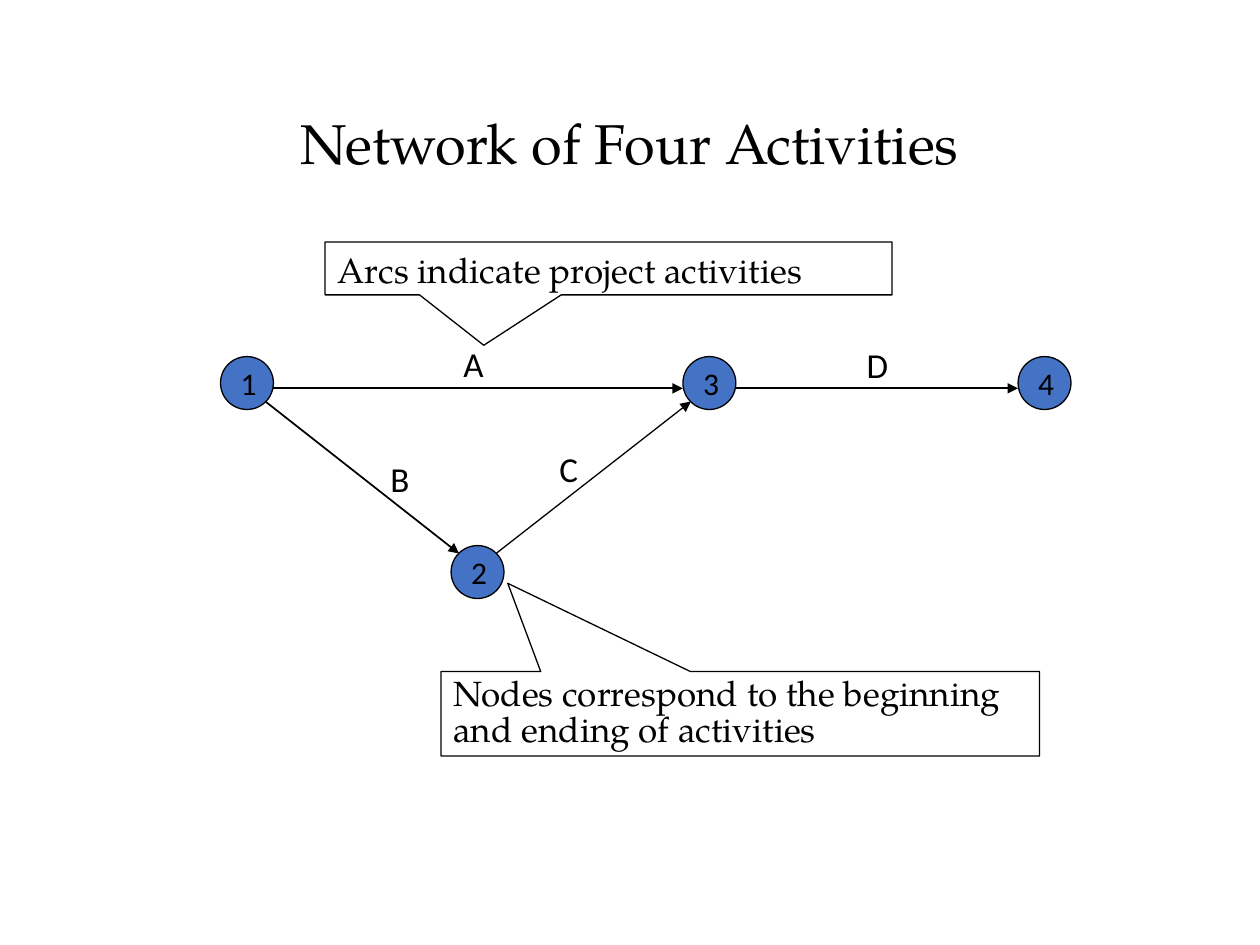
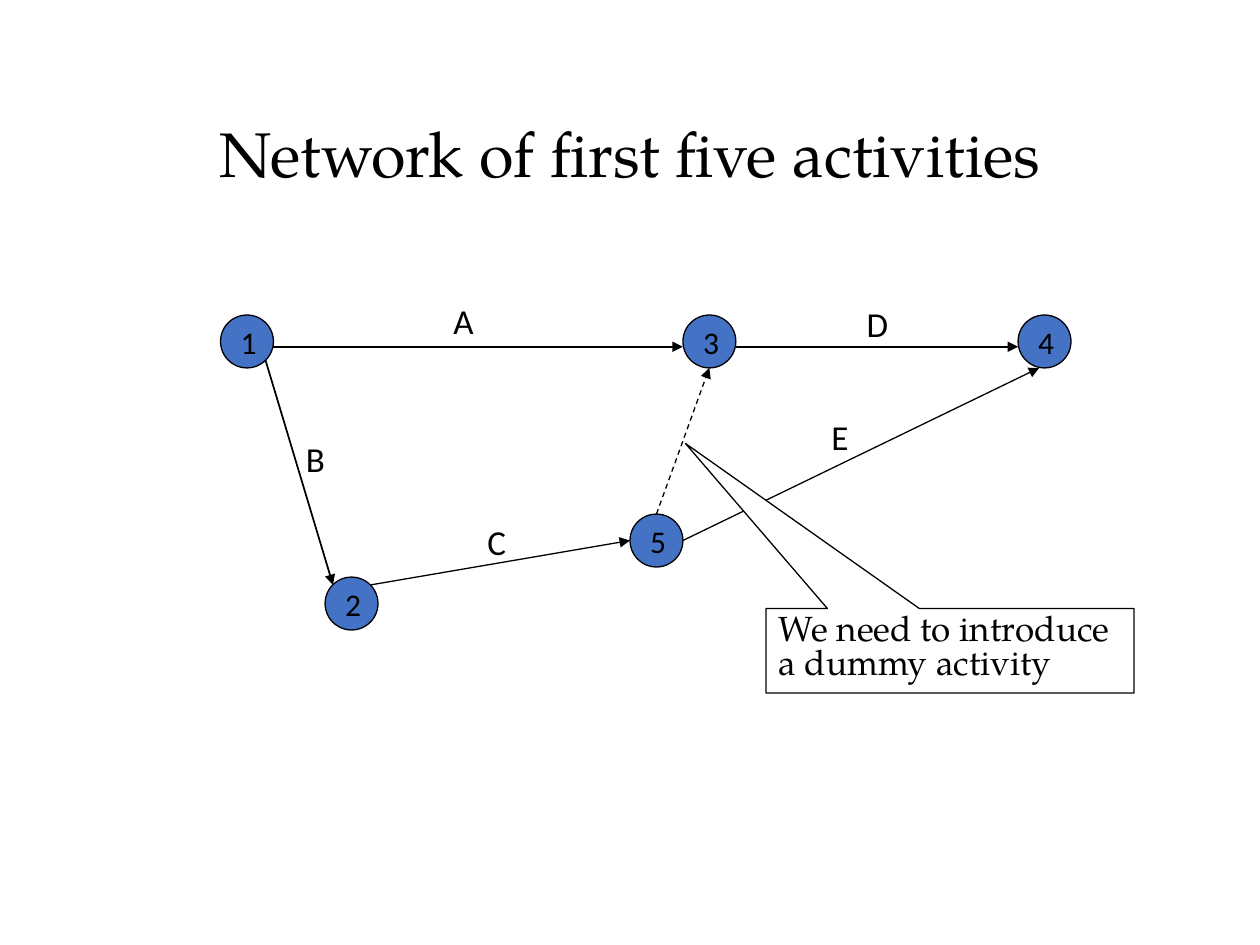
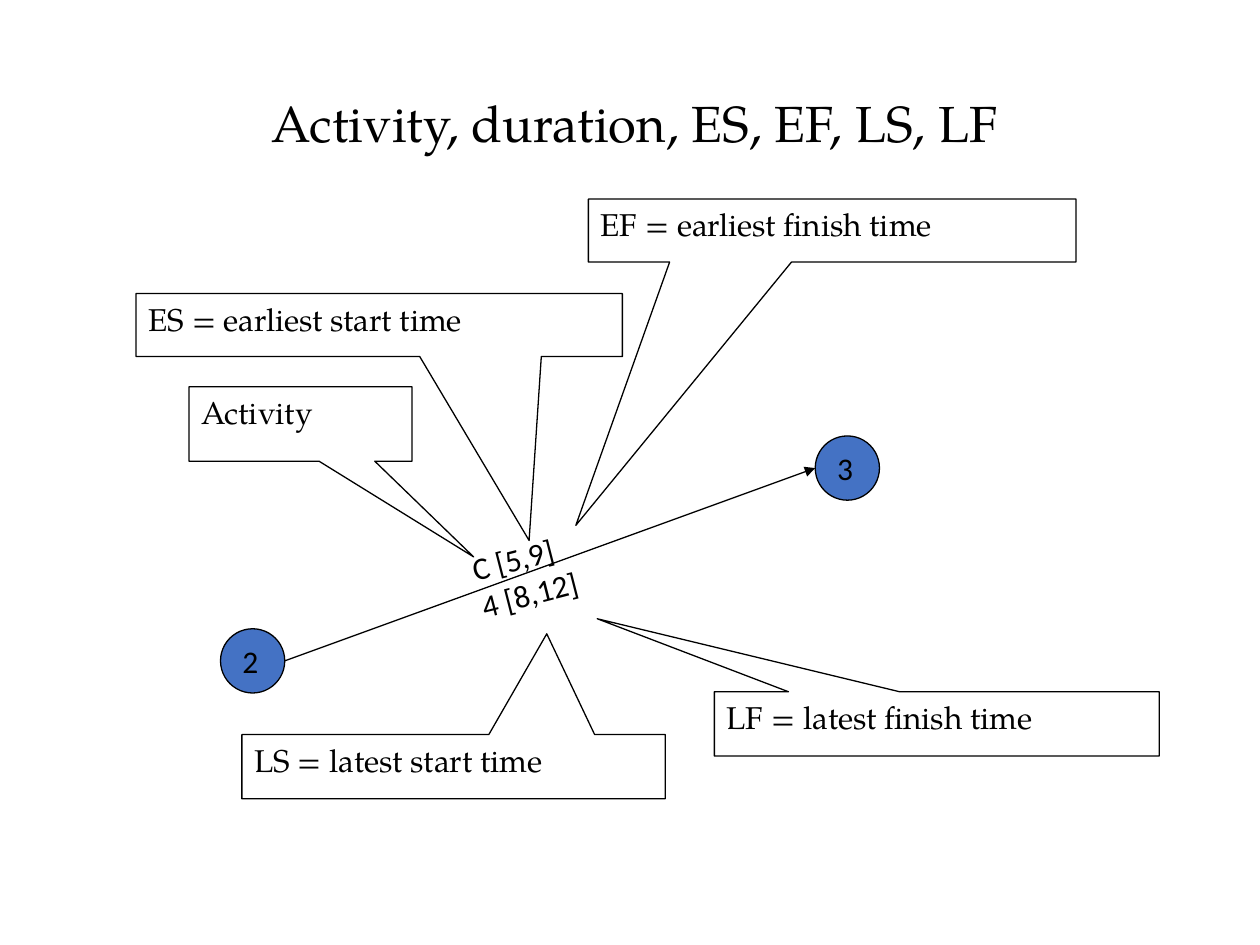
from dataclasses import dataclass

import lxml.etree
import pptx
import pptx.dml.color
import pptx.enum.dml
import pptx.enum.shapes
import pptx.enum.text
import pptx.oxml.ns
import pptx.util

Inches = pptx.util.Inches
Pt = pptx.util.Pt
RGB = pptx.dml.color.RGBColor
Shapes = pptx.enum.shapes.MSO_SHAPE
Anchor = pptx.enum.text.MSO_ANCHOR
Align = pptx.enum.text.PP_ALIGN
Dash = pptx.enum.dml.MSO_LINE
qn = pptx.oxml.ns.qn

TOP, BOTTOM = (0.5, 0), (0.5, 1)
LEFT, RIGHT = (0, 0.5), (1, 0.5)
LOW_LEFT, LOW_RIGHT = (0, 0.6), (1, 0.6)
TOP_LEFT, TOP_RIGHT = (0.15, 0.15), (0.85, 0.15)
BOTTOM_LEFT, BOTTOM_RIGHT = (0.15, 0.85), (0.85, 0.85)
BOTTOM_NEAR_LEFT = (0.4, 1)


@dataclass(frozen=True)
class Theme:
    ink: RGB = RGB(0, 0, 0)
    paper: RGB = RGB(255, 255, 255)
    node: RGB = RGB(0x44, 0x72, 0xC4)
    serif: str = "TeX Gyre Pagella"
    sans: str = "Calibri"
    body: int = 18
    large: int = 20
    thin: float = 0.75
    thick: float = 1


class Deck:
    """Draws activity networks slide by slide in one style."""

    def __init__(self, theme):
        self.theme = theme
        self.prs = pptx.Presentation()
        self.prs.slide_width, self.prs.slide_height = Inches(10), Inches(7.5)
        self.s = None

    def slide(self, title, box, size):
        self.s = self.prs.slides.add_slide(self.prs.slide_layouts[6])
        sp = self.s.shapes.add_textbox(*map(Inches, box))
        self.add_text(sp, [title], self.theme.serif, size, Anchor.MIDDLE, Align.CENTER, 0.9)

    def add_text(self, sp, lines, font, size, anchor=Anchor.TOP, align=Align.LEFT,
                 spacing=1.0, wrap=True):
        tf = sp.text_frame
        tf.word_wrap = wrap
        tf.vertical_anchor = anchor
        for i, line in enumerate(lines):
            p = tf.add_paragraph() if i else tf.paragraphs[0]
            p.alignment = align
            p.line_spacing = spacing
            r = p.add_run()
            r.text = line
            r.font.name = font
            r.font.size = Pt(size)
            r.font.color.rgb = self.theme.ink

    def shape(self, kind, box, fill):
        sp = self.s.shapes.add_shape(kind, *map(Inches, box))
        sp.shadow.inherit = False
        sp.fill.solid()
        sp.fill.fore_color.rgb = fill
        sp.line.color.rgb = self.theme.ink
        sp.line.width = Pt(self.theme.thin)
        return sp

    def node(self, name, x, y, size=0.42, kind=Shapes.OVAL):
        sp = self.shape(kind, (x, y, size, size), self.theme.node)
        self.add_text(sp, [name], self.theme.sans, self.theme.body, Anchor.MIDDLE, wrap=False)
        return sp

    def arc(self, start, start_site, end, end_site, width=None, dash=None):
        ends = [(int(sp.left + fx * sp.width), int(sp.top + fy * sp.height))
                for sp, (fx, fy) in ((start, start_site), (end, end_site))]
        line = self.s.shapes.add_connector(
            pptx.enum.shapes.MSO_CONNECTOR.STRAIGHT, *ends[0], *ends[1])
        line.line.color.rgb = self.theme.ink
        line.line.width = Pt(width or self.theme.thin)
        if dash:
            line.line.dash_style = dash
        props = line._element.spPr
        lxml.etree.SubElement(props.find(qn("a:ln")), qn("a:tailEnd"), type="triangle")
        lxml.etree.SubElement(props, qn("a:effectLst"))

    def label(self, lines, x, y, w=0.42, h=0.44, size=None, rotation=0):
        sp = self.s.shapes.add_textbox(*map(Inches, (x, y, w, h)))
        sp.rotation = rotation
        self.add_text(sp, lines, self.theme.sans, size or self.theme.large)

    def callout(self, text, box, tip, size=None, spacing=1.0):
        x, y, w, h = box
        sp = self.shape(Shapes.RECTANGULAR_CALLOUT, box, self.theme.paper)
        sp.adjustments[0] = (tip[0] - x) / w - 0.5
        sp.adjustments[1] = (tip[1] - y) / h - 0.5
        self.add_text(sp, [text], self.theme.serif, size or self.theme.large, spacing=spacing)

    def main_row(self, y):
        n1, n3, n4 = [self.node(name, x, y)
                      for name, x in (("1", 1.75), ("3", 5.42), ("4", 8.08))]
        for start, end in ((n1, n3), (n3, n4)):
            self.arc(start, LOW_RIGHT, end, LOW_LEFT, self.theme.thick)
        self.label(["D"], 6.78, y - 0.15)
        return n1, n3, n4


def four_activities(deck):
    deck.slide("Network of Four Activities", (0.75, 0.75, 8.5, 0.83), 32)
    n1, n3, _ = deck.main_row(2.83)
    n2 = deck.node("2", 3.58, 4.33)
    deck.arc(n1, BOTTOM_RIGHT, n2, TOP_LEFT, deck.theme.thick)
    deck.arc(n2, TOP_RIGHT, n3, BOTTOM_LEFT)
    for name, x, y in (("A", 3.58, 2.67), ("B", 3, 3.58), ("C", 4.34, 3.5)):
        deck.label([name], x, y)
    deck.callout("Arcs indicate project activities", (2.58, 1.92, 4.5, 0.42), (3.84, 2.74))
    deck.callout("Nodes correspond to the beginning and ending of activities",
                 (3.5, 5.33, 4.75, 0.67), (4.03, 4.63), spacing=0.85)


def five_activities(deck):
    deck.slide("Network of first five activities", (0.75, 0.83, 8.5, 0.83), 36)
    n1, n3, n4 = deck.main_row(2.5)
    n2 = deck.node("2", 2.58, 4.58)
    n5 = deck.node("5", 5, 4.08)
    deck.arc(n1, BOTTOM_RIGHT, n2, TOP_LEFT, deck.theme.thick)
    deck.arc(n2, TOP_RIGHT, n5, LEFT)
    deck.arc(n5, TOP, n3, BOTTOM, dash=Dash.DASH)
    deck.arc(n5, RIGHT, n4, BOTTOM_NEAR_LEFT)
    for name, x, y in (("A", 3.5, 2.33), ("B", 2.33, 3.42), ("C", 3.77, 4.08),
                       ("E", 6.5, 3.25)):
        deck.label([name], x, y)
    deck.callout("We need to introduce a dummy activity",
                 (6.08, 4.83, 2.92, 0.67), (5.44, 3.52), spacing=0.8)


def activity_times(deck):
    deck.slide("Activity, duration, ES, EF, LS, LF", (0.58, 0.75, 8.92, 0.5), 29)
    n2, n3 = [deck.node(name, x, y, 0.51, Shapes.FLOWCHART_CONNECTOR)
              for name, x, y in (("2", 1.75, 4.99), ("3", 6.47, 3.46))]
    deck.arc(n2, RIGHT, n3, LEFT)
    deck.label(["C [5,9]", "4 [8,12]"], 3.67, 4.17, 1.35, 0.7, deck.theme.body, 345.5)
    for text, box, tip in (
        ("Activity", (1.5, 3.07, 1.77, 0.59), (3.76, 4.42)),
        ("ES = earliest start time", (1.08, 2.33, 3.86, 0.5), (4.2, 4.29)),
        ("EF = earliest finish time", (4.67, 1.58, 3.87, 0.5), (4.57, 4.17)),
        ("LF = latest finish time", (5.67, 5.49, 3.53, 0.51), (4.74, 4.91)),
        ("LS = latest start time", (1.92, 5.83, 3.36, 0.51), (4.34, 5.03)),
    ):
        deck.callout(text, box, tip, deck.theme.body)


def main():
    deck = Deck(Theme())
    four_activities(deck)
    five_activities(deck)
    activity_times(deck)
    deck.prs.save("out.pptx")


if __name__ == "__main__":
    main()
